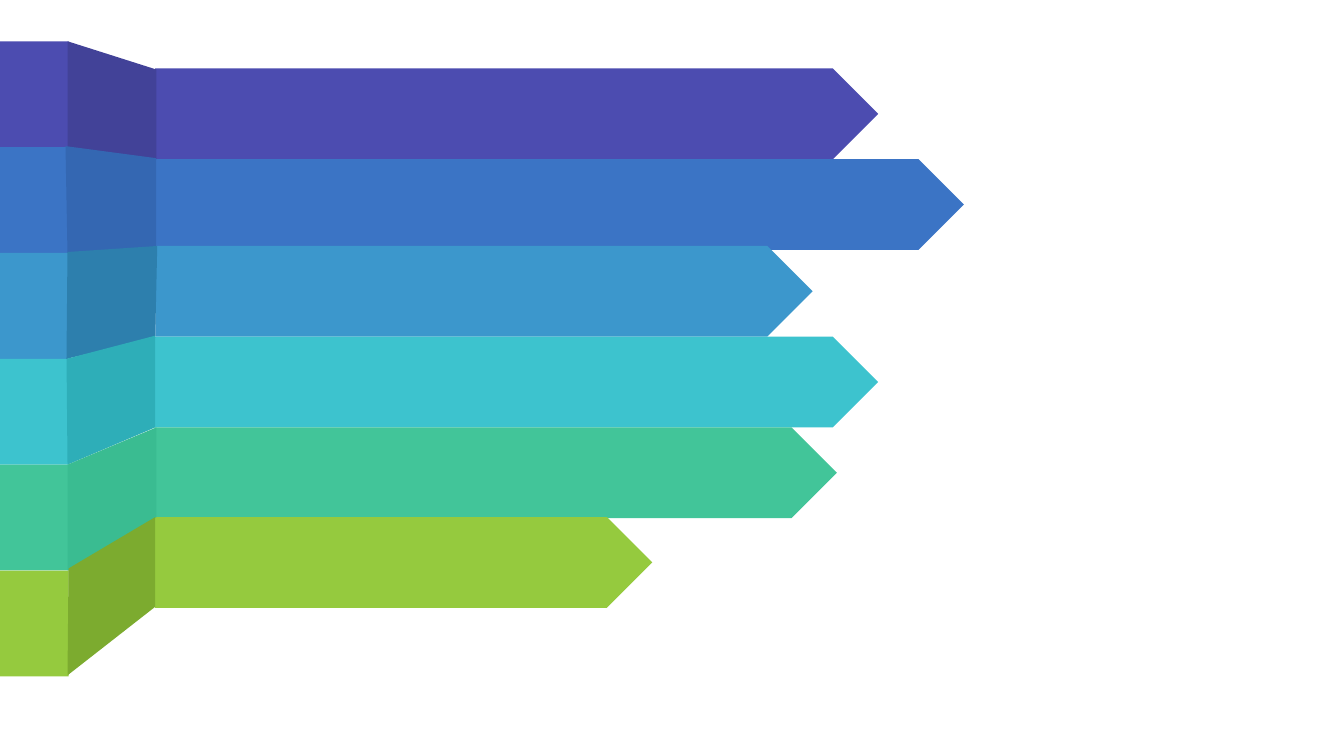
"""Build a slide with six folded ribbons ending in arrows."""
from pptx import Presentation
from pptx.dml.color import RGBColor
from pptx.enum.shapes import MSO_SHAPE as SHAPE
from pptx.util import Inches

COLORS = {
    "violet": "4C4CB0", "violet_fold": "424298",
    "blue": "3B74C5", "blue_fold": "3467B2",
    "sky": "3C97CC", "sky_fold": "2D7FAD",
    "cyan": "3DC3CE", "cyan_fold": "2EAEB8",
    "green": "42C599", "green_fold": "3ABC91",
    "lime": "95CA3E", "lime_fold": "7CAB2F",
}
TAB_TOP, TAB_W, TAB_H = 0.41, 0.68, 1.05
ARROW_LEFT, ARROW_H = 1.54, 0.9

RIBBONS = [
    ("violet", 0.68, 7.17, [(0.67, 0.41), (1.55, 0.69), (1.55, 1.58), (0.67, 1.46)]),
    ("blue", 1.58, 8.02, [(0.65, 1.45), (1.55, 1.57), (1.55, 2.45), (0.67, 2.51)]),
    ("sky", 2.44, 6.52, [(0.67, 2.5), (1.56, 2.44), (1.54, 3.35), (0.66, 3.56)]),
    ("cyan", 3.34, 7.17, [(0.66, 3.56), (1.54, 3.33), (1.54, 4.24), (0.67, 4.61)]),
    ("green", 4.24, 6.76, [(0.67, 4.61), (1.55, 4.24), (1.55, 5.13), (0.67, 5.66)]),
    ("lime", 5.13, 4.93, [(0.68, 5.64), (1.54, 5.13), (1.54, 6.02), (0.67, 6.7)]),
]


def paint(sp, color):
    sp.shadow.inherit = False
    sp.fill.solid()
    sp.fill.fore_color.rgb = RGBColor.from_string(COLORS[color])
    sp.line.fill.background()


prs = Presentation()
prs.slide_width, prs.slide_height = Inches(13.33), Inches(7.5)
s = prs.slides.add_slide(prs.slide_layouts[6])

for i, (color, top, width, _) in enumerate(RIBBONS):
    tab = s.shapes.add_shape(SHAPE.RECTANGLE, 0, Inches(TAB_TOP + i * TAB_H),
                             Inches(TAB_W), Inches(TAB_H))
    paint(tab, color)
    arrow = s.shapes.add_shape(SHAPE.PENTAGON, Inches(ARROW_LEFT), Inches(top),
                               Inches(width), Inches(ARROW_H))
    paint(arrow, color)

for color, _, _, corners in RIBBONS:
    points = [(Inches(x), Inches(y)) for x, y in corners]
    outline = s.shapes.build_freeform(*points[0])
    outline.add_line_segments(points[1:], close=True)
    paint(outline.convert_to_shape(), f"{color}_fold")

prs.save("out.pptx")
